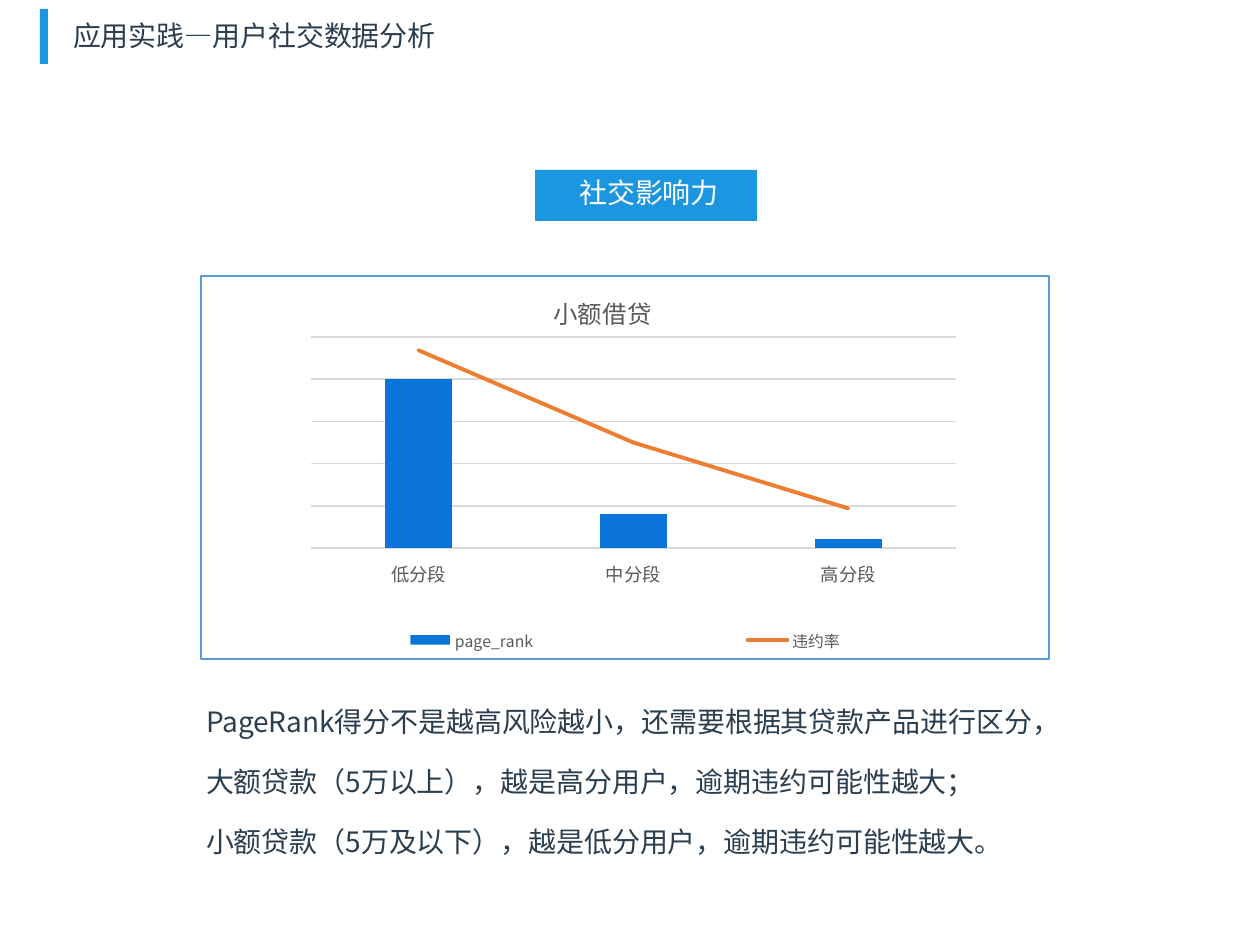
from lxml.etree import SubElement
from pptx import Presentation
from pptx.chart.data import CategoryChartData
from pptx.dml.color import RGBColor
from pptx.enum.chart import XL_CHART_TYPE, XL_LEGEND_POSITION, XL_MARKER_STYLE, XL_TICK_LABEL_POSITION, XL_TICK_MARK
from pptx.enum.shapes import MSO_SHAPE
from pptx.enum.text import MSO_ANCHOR, MSO_AUTO_SIZE, PP_ALIGN
from pptx.oxml import parse_xml
from pptx.oxml.ns import nsdecls, qn
from pptx.util import Pt

SCALE = 914400 // 126
FONT = "Noto Sans CJK SC"
BLUE, INK, GREY, RULE = "1D96E1", "2B3E50", "595959", "D9D9D9"
BODY = [
    "PageRank得分不是越高风险越小，还需要根据其贷款产品进行区分，",
    "大额贷款（5万以上），越是高分用户，逾期违约可能性越大；",
    "小额贷款（5万及以下），越是低分用户，逾期违约可能性越大。",
]
LINE_PLOT = """<c:lineChart %s><c:grouping val="standard"/><c:varyColors val="0"/>
<c:marker val="1"/><c:axId val="50010"/><c:axId val="50020"/></c:lineChart>"""
RIGHT_AXIS = """<c:valAx %s><c:axId val="50020"/><c:scaling><c:orientation val="minMax"/>
<c:max val="16"/><c:min val="0"/></c:scaling><c:delete val="0"/><c:axPos val="r"/>
<c:numFmt formatCode="0" sourceLinked="0"/><c:majorTickMark val="none"/><c:minorTickMark val="none"/>
<c:tickLblPos val="none"/><c:spPr><a:ln><a:noFill/></a:ln></c:spPr><c:crossAx val="50010"/>
<c:crosses val="max"/><c:crossBetween val="between"/><c:majorUnit val="4"/></c:valAx>"""
HIDDEN_AXIS = """<c:catAx %s><c:axId val="50010"/><c:scaling><c:orientation val="minMax"/></c:scaling>
<c:delete val="1"/><c:axPos val="b"/><c:crossAx val="50020"/></c:catAx>"""
BORDER = """<c:spPr %s><a:noFill/><a:ln w="12700"><a:solidFill><a:srgbClr val="5B9BD5"/>
</a:solidFill></a:ln></c:spPr>"""


def color(value):
    return RGBColor.from_string(value)


def chart_xml(template):
    return parse_xml(template % nsdecls("c", "a"))


def place(item, box):
    for name, value in zip(("left", "top", "width", "height"), box):
        setattr(item, name, value * SCALE)


def style_font(font, size, value):
    for name, setting in {"size": Pt(size), "name": FONT, "bold": False}.items():
        setattr(font, name, setting)
    font.color.rgb = color(value)


def write_text(item, lines, value, align=PP_ALIGN.LEFT, gap=0):
    frame = item.text_frame
    margins = dict.fromkeys(("margin_left", "margin_top", "margin_right", "margin_bottom"), 6 * SCALE)
    settings = {"word_wrap": True, "auto_size": MSO_AUTO_SIZE.NONE, "vertical_anchor": MSO_ANCHOR.TOP}
    for name, setting in (margins | settings).items():
        setattr(frame, name, setting)
    for index, line in enumerate(lines):
        para = frame.add_paragraph() if index else frame.paragraphs[0]
        para.alignment = align
        para.space_before = Pt(gap if index else 0)
        properties = para._p.get_or_add_pPr()
        properties.set("marL", "0")
        properties.set("indent", "0")
        SubElement(properties, qn("a:buNone"))
        span = para.add_run()
        span.text = line
        style_font(span.font, 16, value)
        SubElement(span._r.get_or_add_rPr(), qn("a:ea"), typeface=FONT)


def add_block(page, box):
    block = page.shapes.add_shape(MSO_SHAPE.RECTANGLE, *(side * SCALE for side in box))
    block.shadow.inherit = False
    block.fill.solid()
    block.fill.fore_color.rgb = color(BLUE)
    block.line.fill.background()
    return block


def add_heading(page, box):
    left, top, width, height = box
    add_block(page, (left, top, 8, height))
    place(page.shapes.title, (left + 27, top + 4, width - 27, height - 4))
    write_text(page.shapes.title, ["应用实践—用户社交数据分析"], INK)


def add_label(page, box):
    write_text(add_block(page, box), [" 社交影响力"], "FFFFFF", PP_ALIGN.CENTER)


def add_body(page, box):
    body = page.placeholders[1]
    place(body, box)
    write_text(body, BODY, INK, gap=15)


def remove_children(parent, tag):
    for child in parent.findall(qn(tag)):
        parent.remove(child)


def set_layout(parent, after, inner=False, **fractions):
    remove_children(parent, "c:layout")
    layout = chart_xml("<c:layout %s/>")
    manual = SubElement(layout, qn("c:manualLayout"))
    if inner:
        SubElement(manual, qn("c:layoutTarget"), val="inner")
    for name in ("x", "y"):
        SubElement(manual, qn(f"c:{name}Mode"), val="edge")
    for name, value in fractions.items():
        SubElement(manual, qn(f"c:{name}"), val=str(value))
    if after:
        parent.find(qn(after)).addnext(layout)
    else:
        parent.insert(0, layout)


def style_axes(chart):
    category, value = chart.category_axis, chart.value_axis
    for axis in (category, value):
        axis.major_tick_mark = axis.minor_tick_mark = XL_TICK_MARK.NONE
    category.tick_label_position = XL_TICK_LABEL_POSITION.LOW
    style_font(category.tick_labels.font, 10.5, GREY)
    value.tick_label_position = XL_TICK_LABEL_POSITION.NONE
    for name, setting in {"minimum_scale": 0, "maximum_scale": 125, "major_unit": 25}.items():
        setattr(value, name, setting)
    value.format.line.fill.background()
    for line in (category.format.line, value.major_gridlines.format.line):
        line.color.rgb = color(RULE)
        line.width = Pt(1)


def style_series(chart):
    columns = chart.plots[0]
    columns.gap_width, columns.overlap, columns.vary_by_categories = 219, -27, False
    rank, default_rate = columns.series
    rank.format.fill.solid()
    rank.format.fill.fore_color.rgb = color("0A74DA")
    moved = default_rate._element
    remove_children(moved, "c:invertIfNegative")
    line_plot = chart_xml(LINE_PLOT)
    line_plot.find(qn("c:varyColors")).addnext(moved)
    columns._element.addnext(line_plot)
    left_axis = chart.value_axis._element
    left_axis.addnext(chart_xml(HIDDEN_AXIS))
    left_axis.addnext(chart_xml(RIGHT_AXIS))
    series = chart.plots[1].series[0]
    series.smooth = False
    series.marker.style = XL_MARKER_STYLE.NONE
    line = series.format.line
    line.color.rgb = color("ED7D31")
    line.width = Pt(2.25)
    series._element.find(qn("c:spPr")).find(qn("a:ln")).set("cap", "rnd")


def add_loan_chart(page, box):
    data = CategoryChartData()
    data.categories = ["低分段", "中分段", "高分段"]
    data.add_series("page_rank", (100, 20, 5))
    data.add_series("违约率", (15, 8, 3))
    frame = page.shapes.add_chart(XL_CHART_TYPE.COLUMN_CLUSTERED, *(side * SCALE for side in box), data)
    chart = frame.chart
    style_font(chart.font, 10, "000000")
    style_axes(chart)
    style_series(chart)
    chart.has_title = True
    title = chart.chart_title
    title.text_frame.text = "小额借贷"
    style_font(title.text_frame.paragraphs[0].runs[0].font, 14, GREY)
    set_layout(title._element, "c:tx", x=0.41, y=0.03)
    chart.has_legend = True
    legend = chart.legend
    legend.position = XL_LEGEND_POSITION.BOTTOM
    legend.include_in_layout = True
    style_font(legend.font, 9, GREY)
    set_layout(legend._element, "c:legendPos", x=0, y=0.91, w=1, h=0.08)
    root = chart.element if hasattr(chart, "element") else chart._chartSpace
    outline = root.find(qn("c:chart"))
    set_layout(outline.find(qn("c:plotArea")), None, inner=True, x=0.13, y=0.16, w=0.76, h=0.55)
    outline.addnext(chart_xml(BORDER))


def main():
    deck = Presentation()
    deck.slide_width, deck.slide_height = 1260 * SCALE, 945 * SCALE
    page = deck.slides.add_slide(deck.slide_layouts[1])
    add_heading(page, (40, 9, 443, 55))
    add_label(page, (535, 170, 222, 51))
    add_loan_chart(page, (200, 275, 850, 385))
    add_body(page, (200, 699, 1024, 228))
    deck.save("out.pptx")


if __name__ == "__main__":
    main()
